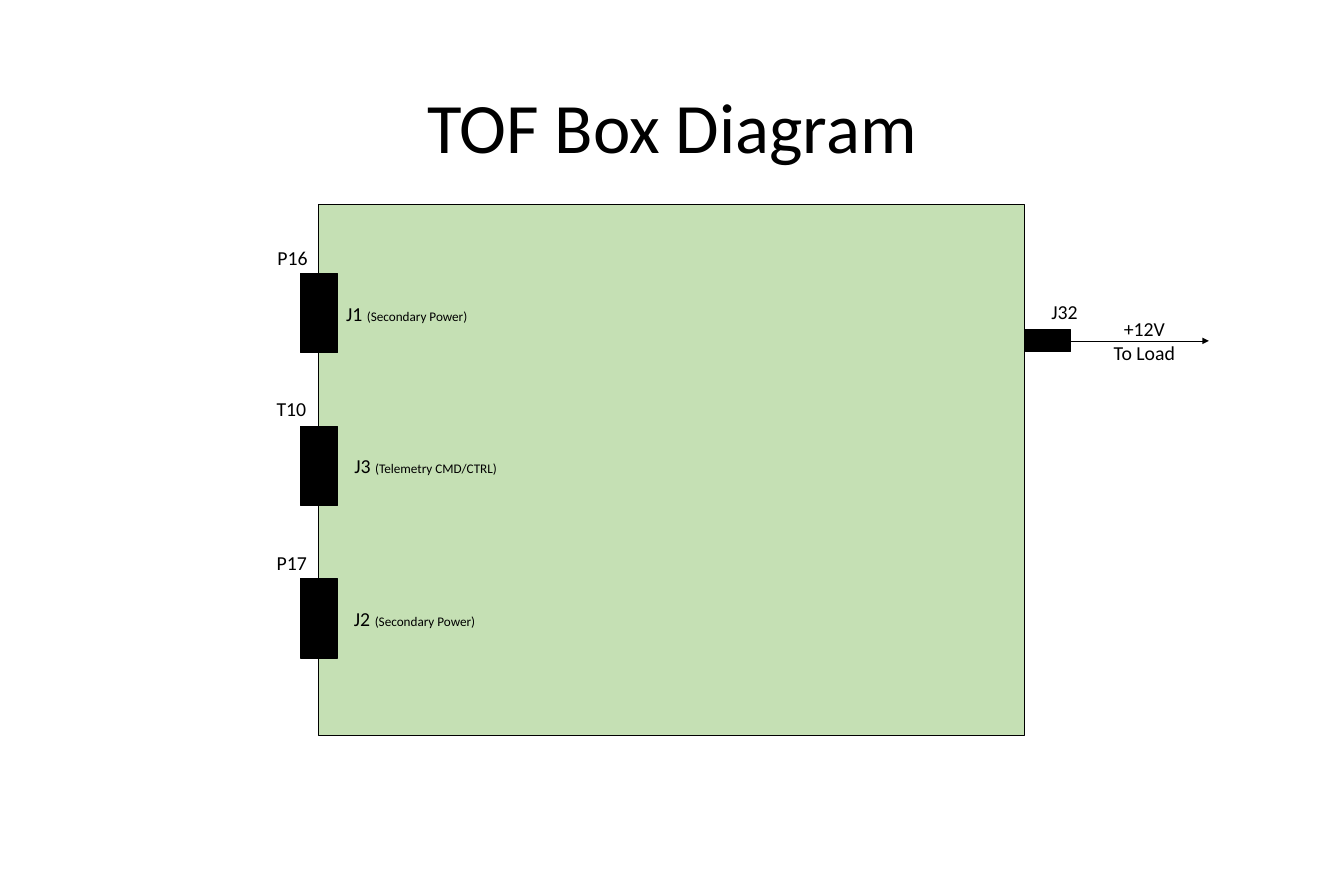
from lxml import etree
from pptx import Presentation
from pptx.dml.color import RGBColor
from pptx.enum.shapes import MSO_CONNECTOR, MSO_SHAPE
from pptx.enum.text import MSO_ANCHOR, MSO_AUTO_SIZE, PP_ALIGN
from pptx.oxml.ns import qn
from pptx.util import Pt

RECTANGLE = MSO_SHAPE.RECTANGLE
STRAIGHT = MSO_CONNECTOR.STRAIGHT
MIDDLE = MSO_ANCHOR.MIDDLE
FIT_SHAPE = MSO_AUTO_SIZE.SHAPE_TO_FIT_TEXT
LEFT, CENTER = PP_ALIGN.LEFT, PP_ALIGN.CENTER
RIGHT_SIDE = 3

PX = 9144
THEME = {
    "font": "Calibri",
    "ink": RGBColor(0x00, 0x00, 0x00),
    "box": RGBColor(0xC5, 0xE0, 0xB4),
    "title": Pt(64.5),
    "label": Pt(18),
    "detail": Pt(12),
    "outline": Pt(1),
    "wire": Pt(0.5),
}


def add_block(left, top, width, height, color):
    block = slide.shapes.add_shape(RECTANGLE, left * PX, top * PX, width * PX, height * PX)
    block.shadow.inherit = False
    block.fill.solid()
    block.fill.fore_color.rgb = color
    block.line.color.rgb = THEME["ink"]
    block.line.width = THEME["outline"]
    return block


def add_label(left, top, width, height, text, size, align, detail=""):
    frame = slide.shapes.add_textbox(left * PX, top * PX, width * PX, height * PX).text_frame
    frame.word_wrap = False
    frame.auto_size = FIT_SHAPE
    paragraph = frame.paragraphs[0]
    paragraph.text = text
    paragraph.alignment = align
    if detail:
        paragraph.add_run().text = detail
    for run in paragraph.runs:
        run.font.name = THEME["font"]
        run.font.color.rgb = THEME["ink"]
        run.font.size = THEME["detail"] if run.text == detail else size
    return frame


presentation = Presentation()
presentation.slide_width = 1700 * PX
presentation.slide_height = 1100 * PX
slide = presentation.slides.add_slide(presentation.slide_layouts[6])

title = add_label(117, 59, 1466, 213, "TOF Box Diagram", THEME["title"], CENTER)
title.auto_size = MSO_AUTO_SIZE.NONE
title.word_wrap = True
title.vertical_anchor = MIDDLE
title.paragraphs[0].line_spacing = 0.9

add_block(403, 258, 893, 672, THEME["box"])

ports = [
    ("P16", 341, 306, "J1 ", "(Secondary Power)", 427, 175),
    ("T10", 340, 497, "J3 ", "(Telemetry CMD/CTRL)", 437, 203),
    ("P17", 340, 692, "J2 ", "(Secondary Power)", 437, 175),
]
for row, (plug, plug_left, plug_top, jack, purpose, jack_left, jack_width) in enumerate(ports):
    port_top = 346 + 193 * row
    for half_left in (380, 403):
        add_block(half_left, port_top, 24, 100, THEME["ink"])
    add_label(jack_left, port_top + 30, jack_width, 40, jack, THEME["label"], CENTER, purpose)
    add_label(plug_left, plug_top, 59, 40, plug, THEME["label"], LEFT)

load_port = add_block(1297, 417, 57, 28, THEME["ink"])
load_wire = slide.shapes.add_connector(STRAIGHT, 1354 * PX, 431 * PX, 1529 * PX, 431 * PX)
load_wire.begin_connect(load_port, RIGHT_SIDE)
load_wire.line.color.rgb = THEME["ink"]
load_wire.line.width = THEME["wire"]
etree.SubElement(load_wire.line._get_or_add_ln(), qn("a:tailEnd"), type="triangle")
etree.SubElement(load_wire._element.spPr, qn("a:effectLst"))

add_label(1320, 374, 54, 40, "J32", THEME["label"], LEFT)
add_label(1398, 396, 99, 71, "+12V\nTo Load", THEME["label"], CENTER)

presentation.save("out.pptx")
